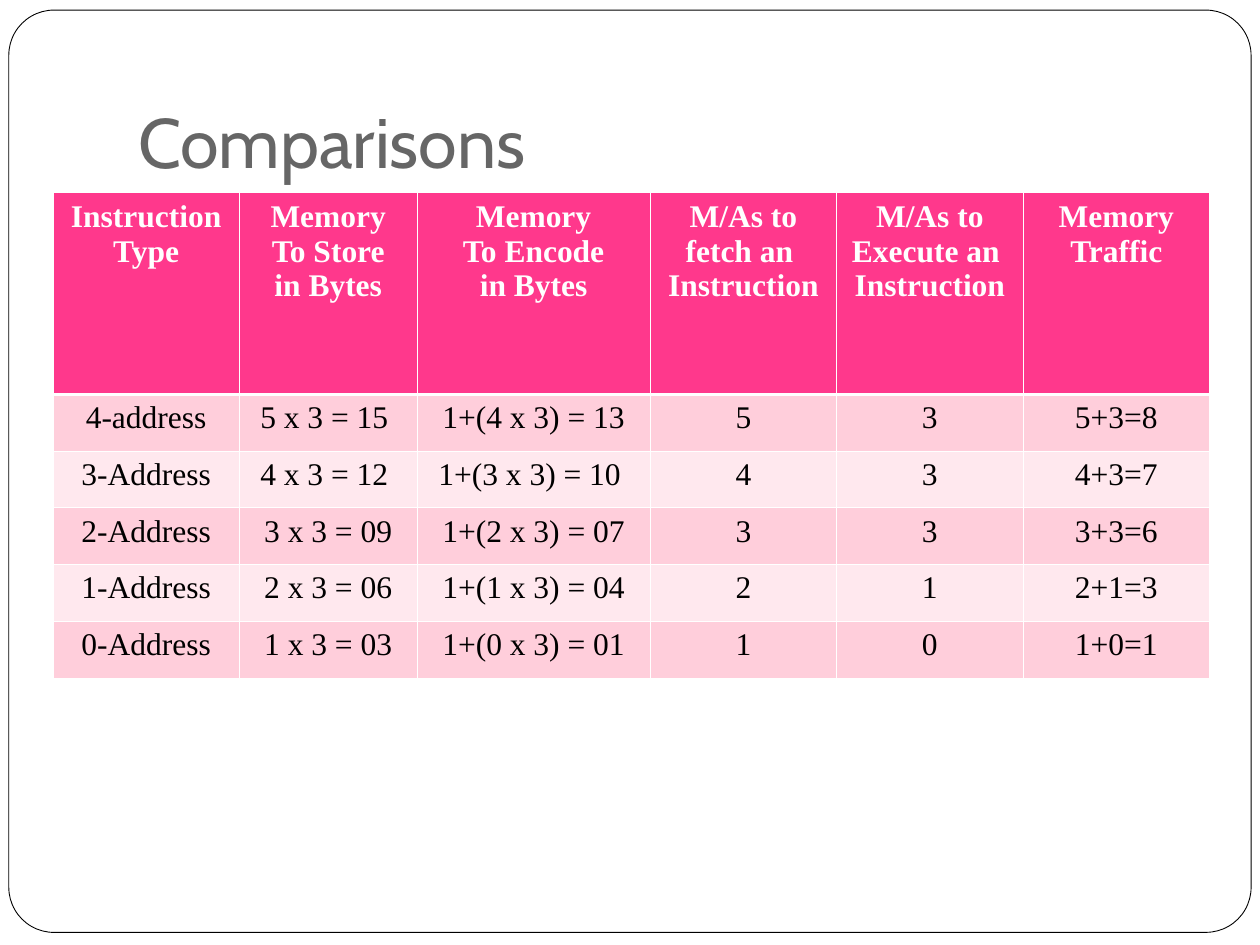
from lxml import etree
from pptx import Presentation
from pptx.dml.color import RGBColor
from pptx.enum.shapes import MSO_SHAPE
from pptx.enum.text import MSO_ANCHOR, PP_ALIGN
from pptx.oxml.ns import qn
from pptx.util import Inches, Pt

ROUNDED = MSO_SHAPE.ROUNDED_RECTANGLE
BOTTOM = MSO_ANCHOR.BOTTOM
CENTER = PP_ALIGN.CENTER

COLORS = {
    "white": "FFFFFF",
    "black": "000000",
    "title": "666666",
    "header": "FF388C",
    "odd_row": "FFCEDB",
    "even_row": "FFE8EE",
}
TITLE_FONT = "Cabin"
TABLE_FONT = "Times New Roman"
THIN, THICK = 0.45, 1.47

COLUMN_WIDTHS = [1.48, 1.41, 1.85, 1.48, 1.48, 1.48]
HEADER_HEIGHT, ROW_HEIGHT = 1.6, 0.45
HEADERS = [
    ["Instruction", "Type"],
    ["Memory", "To Store", "in Bytes"],
    ["Memory", "To Encode", "in Bytes"],
    ["M/As to fetch an ", "Instruction"],
    ["M/As to Execute an ", "Instruction"],
    ["Memory Traffic"],
]
ROWS = [
    ["4-address", "5 x 3 = 15 ", "1+(4 x 3) = 13", "5", "3", "5+3=8"],
    ["3-Address", "4 x 3 = 12 ", "1+(3 x 3) = 10 ", "4", "3", "4+3=7"],
    ["2-Address", "3 x 3 = 09", "1+(2 x 3) = 07", "3", "3", "3+3=6"],
    ["1-Address", "2 x 3 = 06", "1+(1 x 3) = 04", "2", "1", "2+1=3"],
    ["0-Address", "1 x 3 = 03", "1+(0 x 3) = 01", "1", "0", "1+0=1"],
]


def color(name):
    """Return the named colour."""
    return RGBColor.from_string(COLORS[name])


def add_span(para, text, font, size, color_name, bold=False):
    """Add one formatted run to a paragraph."""
    span = para.add_run()
    span.text = text
    span.font.name = font
    span.font.size = Pt(size)
    span.font.bold = bold
    span.font.color.rgb = color(color_name)


def add_frame(page, left, top, width, height):
    """Draw the rounded outline around the slide."""
    frame = page.shapes.add_shape(
        ROUNDED, Inches(left), Inches(top), Inches(width), Inches(height))
    frame.adjustments[0] = 0.049
    frame.shadow.inherit = False
    frame.fill.solid()
    frame.fill.fore_color.rgb = color("white")
    frame.line.color.rgb = color("black")
    frame.line.width = Pt(0.5)


def add_title(page, left, top, width, height, text):
    """Place the slide title at the bottom of its box."""
    box = page.shapes.add_textbox(
        Inches(left), Inches(top), Inches(width), Inches(height))
    frame = box.text_frame
    frame.word_wrap = True
    frame.vertical_anchor = BOTTOM
    frame.margin_bottom = Inches(0.1)
    add_span(frame.paragraphs[0], text, TITLE_FONT, 40, "title")


def set_borders(cell, top, bottom):
    """Give a cell white borders, with top and bottom widths in points."""
    properties = cell._tc.get_or_add_tcPr()
    widths = {"a:lnL": THIN, "a:lnR": THIN, "a:lnT": top, "a:lnB": bottom}
    for tag, width in widths.items():
        line = etree.SubElement(properties, qn(tag), w=str(Pt(width)))
        fill = etree.SubElement(line, qn("a:solidFill"))
        etree.SubElement(fill, qn("a:srgbClr"), val=COLORS["white"])


def fill_cell(cell, lines, fill_name, text_name, bold):
    """Fill a cell and write its centred lines."""
    cell.fill.solid()
    cell.fill.fore_color.rgb = color(fill_name)
    frame = cell.text_frame
    for index, line in enumerate(lines):
        para = frame.add_paragraph() if index else frame.paragraphs[0]
        para.alignment = CENTER
        add_span(para, line, TABLE_FONT, 18, text_name, bold)


def add_comparison_table(page, left, top):
    """Build the table comparing instruction types."""
    heights = [HEADER_HEIGHT] + [ROW_HEIGHT] * len(ROWS)
    table = page.shapes.add_table(
        len(heights), len(COLUMN_WIDTHS), Inches(left), Inches(top),
        Inches(sum(COLUMN_WIDTHS)), Inches(sum(heights))).table
    for column, width in zip(table.columns, COLUMN_WIDTHS):
        column.width = Inches(width)
    for row, height in zip(table.rows, heights):
        row.height = Inches(height)
    contents = [HEADERS] + [[[text] for text in row] for row in ROWS]
    for row_index, row in enumerate(contents):
        is_header = row_index == 0
        band = "odd_row" if row_index % 2 else "even_row"
        for column_index, lines in enumerate(row):
            cell = table.cell(row_index, column_index)
            set_borders(cell, THICK if row_index == 1 else THIN,
                        THICK if is_header else THIN)
            fill_cell(cell, lines, "header" if is_header else band,
                      "white" if is_header else "black", is_header)


def main():
    """Build and save the slide."""
    deck = Presentation()
    deck.slide_width, deck.slide_height = Inches(10), Inches(7.5)
    page = deck.slides.add_slide(deck.slide_layouts[6])
    add_frame(page, 0.07, 0.08, 9.86, 7.32)
    add_title(page, 1, 0.3, 8.5, 1.25, "Comparisons")
    add_comparison_table(page, 0.42, 1.53)
    deck.save("out.pptx")


if __name__ == "__main__":
    main()
